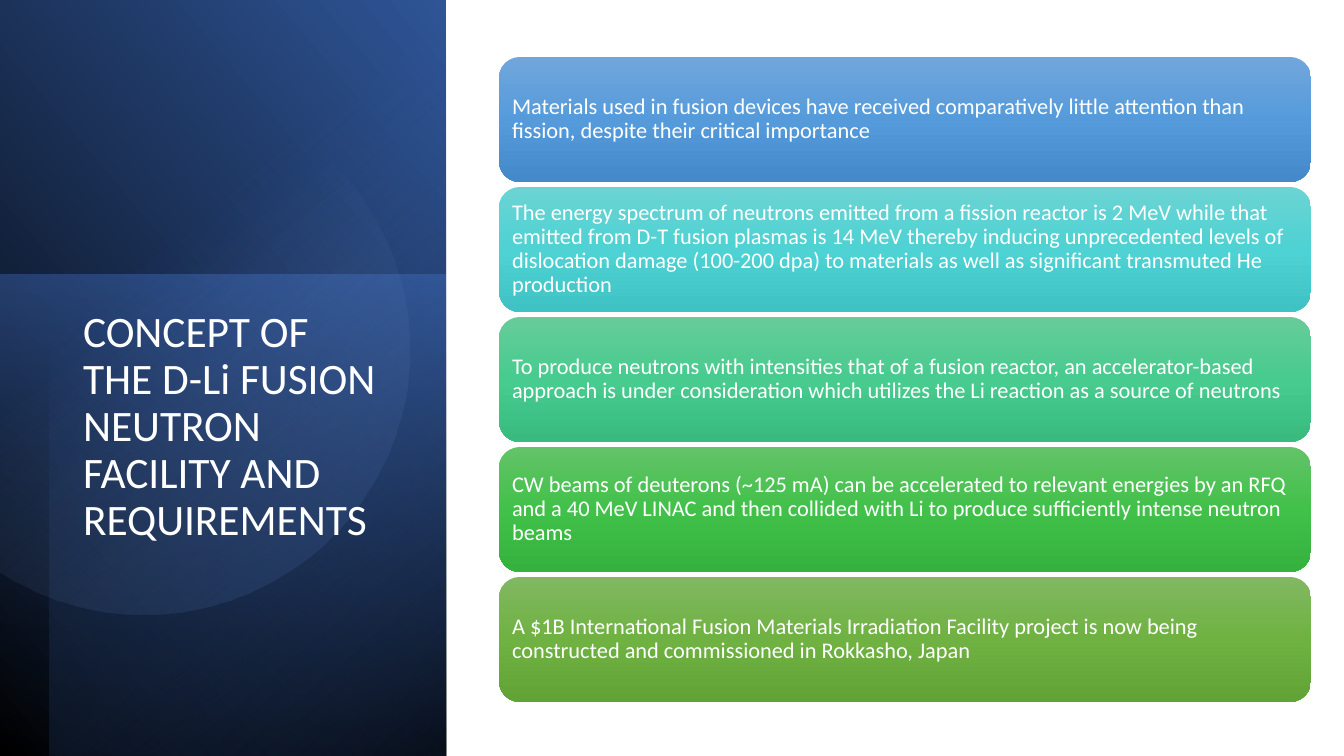
from dataclasses import dataclass
from math import cos, radians, sin

from pptx import Presentation
from pptx.enum.shapes import MSO_SHAPE
from pptx.enum.text import MSO_ANCHOR, MSO_AUTO_SIZE, PP_ALIGN
from pptx.dml.color import RGBColor
from pptx.oxml import parse_xml
from pptx.oxml.ns import nsdecls, qn
from pptx.shapes.autoshape import Shape
from pptx.slide import Slide
from pptx.text.text import TextFrame
from pptx.util import Emu, Pt

EMU_PER_PX = 914400 / 100.8
FONT = "Calibri"
COLOURS = {
    "white": "FFFFFF",
    "black": "000000",
    "navy": "203864",
    "deep_blue": "2F5597",
    "blue": "4472C4",
    "pale_blue": "8FAADC",
    "sky_top": "71A6DB", "sky_mid": "559BDB", "sky_low": "448ACA",
    "aqua_top": "6CD3D3", "aqua_mid": "4ED2D3", "aqua_low": "3EC2C3",
    "mint_top": "67CC9A", "mint_mid": "47CB8E", "mint_low": "39BB7F",
    "green_top": "63C368", "green_mid": "42C14A", "green_low": "34B23D",
    "olive_top": "81B861", "olive_mid": "6FB242", "olive_low": "62A336",
}


@dataclass
class Stop:
    position: int
    colour: str
    opacity: int = 100


@dataclass
class Panel:
    left: int
    top: int
    width: int
    height: int
    angle: int
    stops: list[Stop]


@dataclass
class Card:
    shade: str
    text: str


PANELS = [
    Panel(0, 0, 446, 756, 320, [Stop(0, "black"), Stop(100, "deep_blue")]),
    Panel(0, 275, 446, 481, 100, [Stop(0, "blue", 50), Stop(100, "navy", 0)]),
    Panel(50, 0, 396, 756, 230, [Stop(0, "black", 59), Stop(69, "blue", 0)]),
]
DISC_X, DISC_Y, DISC_RADIUS, DISC_SWEEP = 144, 350, 265, 123
DISC_STOPS = [Stop(39, "pale_blue", 0), Stop(100, "deep_blue", 26)]

TITLE = "CONCEPT OF THE D-Li FUSION NEUTRON FACILITY AND REQUIREMENTS"
CARDS = [
    Card("sky", "Materials used in fusion devices have received comparatively little "
                "attention than fission, despite their critical importance"),
    Card("aqua", "The energy spectrum of neutrons emitted from a fission reactor is 2 MeV "
                 "while that emitted from D-T fusion plasmas is 14 MeV thereby inducing "
                 "unprecedented levels of dislocation damage (100-200 dpa) to materials "
                 "as well as significant transmuted He production"),
    Card("mint", "To produce neutrons with intensities that of a fusion reactor, an "
                 "accelerator-based approach is under consideration which utilizes the "
                 "Li reaction as a source of neutrons"),
    Card("green", "CW beams of deuterons (~125 mA) can be accelerated to relevant energies "
                  "by an RFQ and a 40 MeV LINAC and then collided with Li to produce "
                  "sufficiently intense neutron beams"),
    Card("olive", "A $1B International Fusion Materials Irradiation Facility project is now "
                  "being constructed and commissioned in Rokkasho, Japan"),
]
CARD_LEFT, CARD_TOP, CARD_WIDTH, CARD_HEIGHT, CARD_STEP = 499, 57, 812, 125, 130
CARD_INSET = 7


def px(length: int) -> Emu:
    return Emu(round(length * EMU_PER_PX))


def paint(shape: Shape, stops: list[Stop], angle: int) -> None:
    shape.shadow.inherit = False
    shape.line.fill.background()
    shape.fill.gradient()
    marks = "".join(
        f'<a:gs pos="{stop.position * 1000}"><a:srgbClr val="{COLOURS[stop.colour]}">'
        f'<a:alpha val="{stop.opacity * 1000}"/></a:srgbClr></a:gs>'
        for stop in stops
    )
    gradient = parse_xml(
        f'<a:gradFill {nsdecls("a")} rotWithShape="1"><a:gsLst>{marks}</a:gsLst>'
        f'<a:lin ang="{angle * 60000}" scaled="0"/></a:gradFill>'
    )
    properties = shape.element.spPr
    properties.replace(properties.find(qn("a:gradFill")), gradient)


def write(frame: TextFrame, text: str, size: int, anchor: MSO_ANCHOR) -> None:
    frame.text = text
    frame.word_wrap = True
    frame.auto_size = MSO_AUTO_SIZE.NONE
    frame.vertical_anchor = anchor
    para = frame.paragraphs[0]
    para.alignment = PP_ALIGN.LEFT
    para.line_spacing = 0.9
    para.font.name = FONT
    para.font.size = Pt(size)
    para.font.color.rgb = RGBColor.from_string(COLOURS["white"])


def draw_panel(page: Slide, panel: Panel) -> None:
    shape = page.shapes.add_shape(
        MSO_SHAPE.RECTANGLE,
        px(panel.left), px(panel.top), px(panel.width), px(panel.height),
    )
    paint(shape, panel.stops, panel.angle)


def draw_disc(page: Slide) -> None:
    points = [
        (round(DISC_X + DISC_RADIUS * cos(radians(turn))),
         round(DISC_Y + DISC_RADIUS * sin(radians(turn))))
        for turn in range(-DISC_SWEEP, DISC_SWEEP + 1, 2)
    ]
    builder = page.shapes.build_freeform(*points[0], scale=EMU_PER_PX)
    builder.add_line_segments(points[1:], close=True)
    paint(builder.convert_to_shape(), DISC_STOPS, 52)


def place_title(page: Slide) -> None:
    title = page.shapes.title
    title.left, title.top, title.width, title.height = px(73), px(305), px(318), px(339)
    write(title.text_frame, TITLE, 31, MSO_ANCHOR.TOP)
    title.element.getparent().append(title.element)


def draw_card(page: Slide, card: Card, row: int) -> None:
    shape = page.shapes.add_shape(
        MSO_SHAPE.ROUNDED_RECTANGLE,
        px(CARD_LEFT), px(CARD_TOP + row * CARD_STEP), px(CARD_WIDTH), px(CARD_HEIGHT),
    )
    tones = ((0, "top"), (50, "mid"), (100, "low"))
    paint(shape, [Stop(spot, f"{card.shade}_{tone}") for spot, tone in tones], 90)
    frame = shape.text_frame
    frame.margin_left = frame.margin_right = px(CARD_INSET)
    frame.margin_top = frame.margin_bottom = px(CARD_INSET)
    write(frame, card.text, 16, MSO_ANCHOR.MIDDLE)


def main() -> None:
    deck = Presentation()
    deck.slide_width, deck.slide_height = px(1344), px(756)
    page = deck.slides.add_slide(deck.slide_layouts.get_by_name("Title Only"))
    for panel in PANELS:
        draw_panel(page, panel)
    draw_disc(page)
    place_title(page)
    for row, card in enumerate(CARDS):
        draw_card(page, card, row)
    deck.save("out.pptx")


if __name__ == "__main__":
    main()
